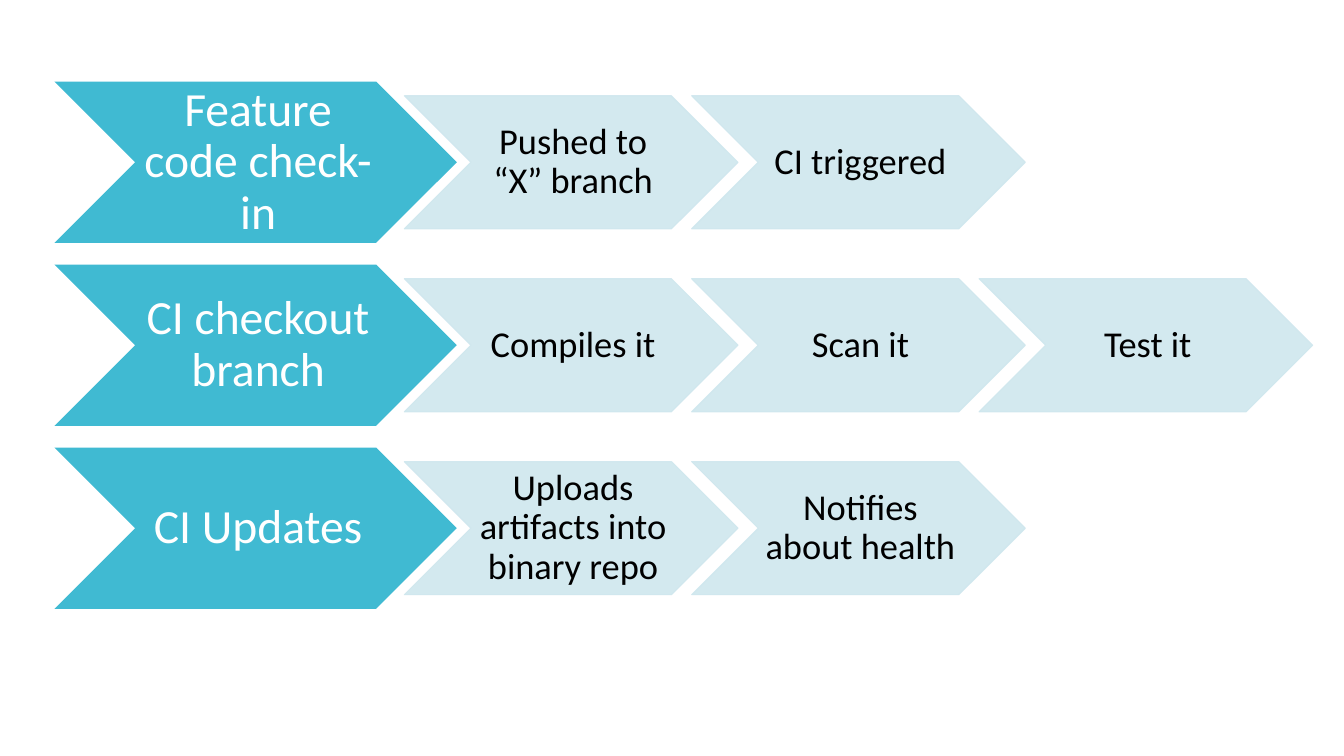
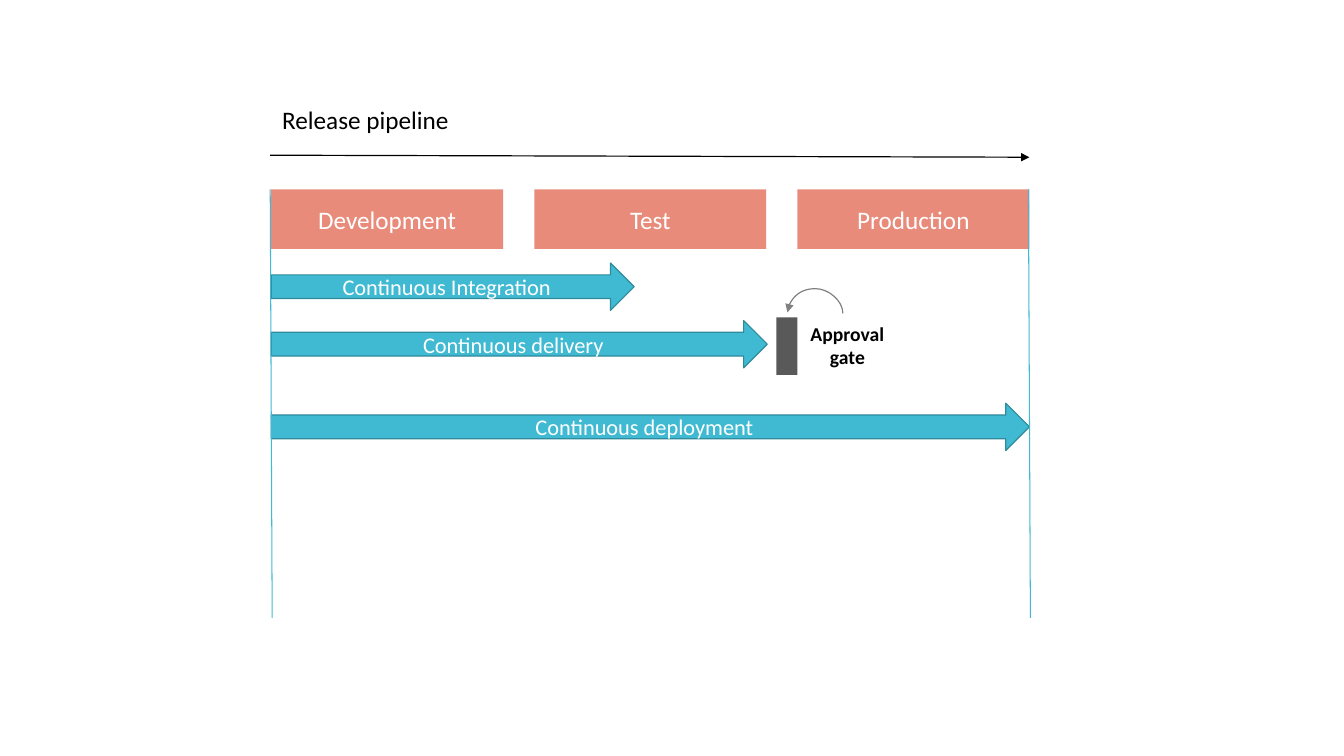
import pptx
import pptx.util
import pptx.dml.color
import pptx.enum.shapes
import pptx.enum.text
import pptx.oxml.ns
from lxml import etree

Inches = pptx.util.Inches
Pt = pptx.util.Pt
Shapes = pptx.enum.shapes.MSO_SHAPE
Connectors = pptx.enum.shapes.MSO_CONNECTOR
Align = pptx.enum.text.PP_ALIGN
Anchor = pptx.enum.text.MSO_ANCHOR
qn = pptx.oxml.ns.qn

FONT = "Calibri"
COLORS = {
    "teal": "40BAD2",
    "teal_edge": "2F8A9B",
    "pale": "CFE7EE",
    "coral": "DE4E34",
    "gate": "595959",
    "gray": "808080",
    "black": "000000",
    "white": "FFFFFF",
}

PROCESS = [
    ("Feature code check-in", ["Pushed to “X” branch", "CI triggered"]),
    ("CI checkout branch", ["Compiles it", "Scan it", "Test it"]),
    ("CI Updates", ["Uploads artifacts into binary repo", "Notifies about health"]),
]
STAGES = ["Development", "Test", "Production"]
PRACTICES = [
    ("Continuous Integration", 2.61, 3.6),
    ("Continuous delivery", 3.18, 4.92),
    ("Continuous deployment", 4, 7.52),
]
PIPELINE_LEFT, PIPELINE_RIGHT = 2.69, 10.21


def color(name):
    return pptx.dml.color.RGBColor.from_string(COLORS[name])


def set_alpha(fill_parent, percent):
    tint = fill_parent.find(qn("a:solidFill"))[0]
    etree.SubElement(tint, qn("a:alpha"), val=str(percent * 1000))


def write(frame, lines, size, ink, align=Align.CENTER, bold=False, spacing=None):
    frame.word_wrap = True
    para = frame.paragraphs[0]
    para.alignment = align
    if spacing:
        para.line_spacing = spacing
    for index, line in enumerate(lines):
        if index:
            para.add_line_break()
        span = para.add_run()
        span.text = line
        span.font.name = FONT
        span.font.size = Pt(size)
        span.font.bold = bold
        span.font.color.rgb = color(ink)


def set_margins(frame, left, top, right, bottom):
    frame.margin_left, frame.margin_top = Inches(left), Inches(top)
    frame.margin_right, frame.margin_bottom = Inches(right), Inches(bottom)


def add_block(page, kind, place, fill, alpha=100, edge=None, edge_width=0.75):
    block = page.shapes.add_shape(kind, *map(Inches, place))
    block.shadow.inherit = False
    block.fill.solid()
    block.fill.fore_color.rgb = color(fill)
    if edge:
        block.line.color.rgb = color(edge)
        block.line.width = Pt(edge_width)
    else:
        block.line.fill.background()
    if alpha < 100:
        set_alpha(block.element.spPr, alpha)
    block.text_frame.vertical_anchor = Anchor.MIDDLE
    return block


def add_line(page, start, end, ink, width, arrow=False, kind=Connectors.STRAIGHT):
    line = page.shapes.add_connector(kind, *map(Inches, start + end))
    line.line.color.rgb = color(ink)
    line.line.width = Pt(width)
    if arrow:
        etree.SubElement(line.line._get_or_add_ln(), qn("a:tailEnd"), type="triangle")
    etree.SubElement(line.element.spPr, qn("a:effectLst"))
    return line


def add_label(page, place, lines, size, align, bold=False):
    box = page.shapes.add_textbox(*map(Inches, place))
    write(box.text_frame, lines, size, "black", align, bold)


def add_approval_arc(page):
    arc = add_line(page, (8.08, 2.83), (8.09, 3.38), "gray", 0.85, True, Connectors.CURVE)
    frame = arc.element.spPr.find(qn("a:xfrm"))
    frame.set("rot", str(270 * 60000))
    frame.set("flipV", "1")
    guides = arc.element.spPr.find(qn("a:prstGeom")).get_or_add_avLst()
    etree.SubElement(guides, qn("a:gd"), name="adj1", fmla="val 2500000")


def build_process(page):
    lead_height, step_height = 1.6, 1.32
    for row, (lead, steps) in enumerate(PROCESS):
        top = 0.81 + 1.815 * row
        chevron = add_block(page, Shapes.CHEVRON, (0.54, top, 3.99, lead_height), "teal")
        set_margins(chevron.text_frame, 0.05, 0.02, 0, 0.02)
        write(chevron.text_frame, [lead], 34, "white", spacing=0.9)
        step_top = top + (lead_height - step_height) / 2
        for column, step in enumerate(steps):
            place = (4.01 + 2.85 * column, step_top, 3.31, step_height)
            chevron = add_block(page, Shapes.CHEVRON, place, "pale", 90, "pale")
            set_alpha(chevron.line._get_or_add_ln(), 90)
            set_margins(chevron.text_frame, 0.04, 0.02, 0, 0.02)
            write(chevron.text_frame, [step], 26, "black", spacing=0.9)


def build_pipeline(page):
    stage_width = 2.3
    stage_step = (PIPELINE_RIGHT - PIPELINE_LEFT - stage_width) / (len(STAGES) - 1)
    for index, stage in enumerate(STAGES):
        place = (PIPELINE_LEFT + stage_step * index, 1.88, stage_width, 0.59)
        block = add_block(page, Shapes.RECTANGLE, place, "coral", 65)
        write(block.text_frame, [stage], 18, "white")

    add_block(page, Shapes.RECTANGLE, (7.7, 3.15, 0.21, 0.57), "gate")
    add_label(page, (7.77, 3.14, 1.27, 0.57), ["Approval", "gate"], 14, Align.CENTER, True)
    add_approval_arc(page)

    add_line(page, (2.68, 1.54), (PIPELINE_RIGHT, 1.56), "black", 0.85, True)
    add_label(page, (2.7, 0.99, 3.58, 0.4), ["Release pipeline"], 18, Align.LEFT)

    for name, top, width in PRACTICES:
        place = (PIPELINE_LEFT, top, width, 0.47)
        arrow = add_block(page, Shapes.RIGHT_ARROW, place, "teal", edge="teal_edge", edge_width=0.85)
        write(arrow.text_frame, [name], 16, "white")

    for middle in (PIPELINE_LEFT, PIPELINE_RIGHT):
        add_line(page, (middle - 0.01, 1.88), (middle + 0.01, 6.13), "teal", 0.75)


def main():
    deck = pptx.Presentation()
    deck.slide_width, deck.slide_height = Inches(13.33), Inches(7.5)
    for build in (build_process, build_pipeline):
        build(deck.slides.add_slide(deck.slide_layouts[6]))
    deck.save("out.pptx")


if __name__ == "__main__":
    main()
